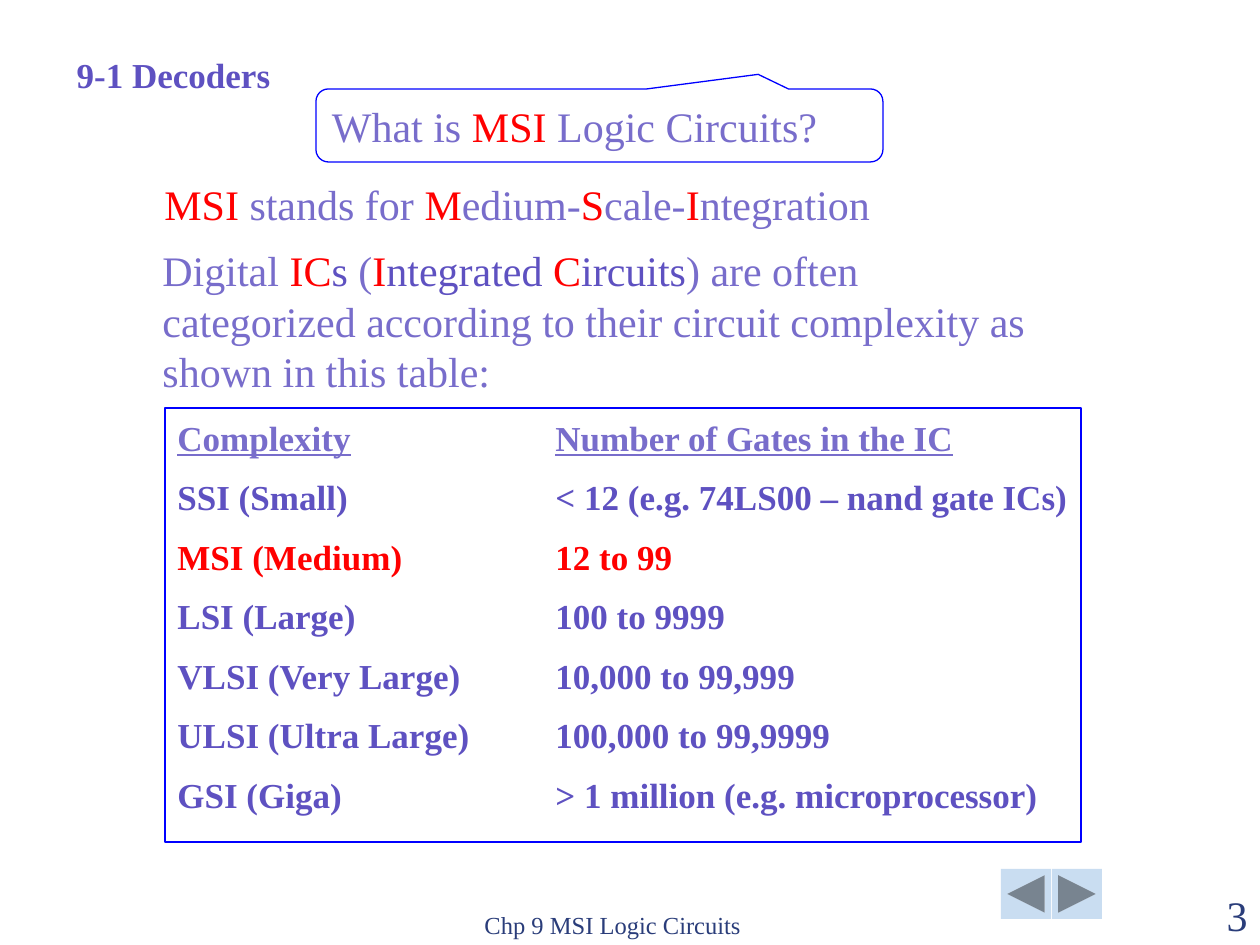
from lxml.etree import SubElement
from pptx import Presentation
from pptx.dml.color import RGBColor
from pptx.enum.shapes import MSO_SHAPE
from pptx.enum.text import MSO_ANCHOR, PP_ALIGN
from pptx.oxml.ns import qn
from pptx.util import Pt

SCALE = 914400 / 126
FONT = "Times New Roman"
RED, LILAC, VIOLET, NAVY = "FF0000", "786DCB", "5E51C1", "2A3D7A"
BLUE, PALE = "0000FF", "C9DDF1"

ROWS = [
    ("SSI (Small)", "< 12 (e.g. 74LS00 – nand gate ICs)"),
    ("MSI (Medium)", "12 to 99"),
    ("LSI (Large)", "100 to 9999"),
    ("VLSI (Very Large)", "10,000 to 99,999"),
    ("ULSI (Ultra Large)", "100,000 to 99,9999"),
    ("GSI (Giga)", "> 1 million (e.g. microprocessor)"),
]


def px(num):
    """Turn pixels into EMU."""
    return round(num * SCALE)


def color(code):
    """Turn a hex string into a colour."""
    return RGBColor.from_string(code)


def place(shape, box):
    """Move a shape to left, top, width, height in pixels."""
    shape.left, shape.top, shape.width, shape.height = map(px, box)


def write(shape, lines, size=24, bold=False, align=PP_ALIGN.LEFT,
          anchor=MSO_ANCHOR.TOP, wrap=True, top=8, gap=0, tab=None):
    """Fill a shape with lines of (text, colour, underline) runs."""
    frame = shape.text_frame
    frame.word_wrap = wrap
    frame.vertical_anchor = anchor
    frame.margin_top = px(top)
    for i, line in enumerate(lines):
        para = frame.paragraphs[0] if i == 0 else frame.add_paragraph()
        para.alignment = align
        para.line_spacing = Pt(size * 1.2)
        para.space_before = Pt(gap if i else 0)
        if tab:
            stops = SubElement(para._p.get_or_add_pPr(), qn("a:tabLst"))
            SubElement(stops, qn("a:tab"), pos=str(px(tab)), algn="l")
        for text, code, *under in line:
            run = para.add_run()
            run.text = text
            font = run.font
            font.name, font.size, font.bold = FONT, Pt(size), bold
            font.underline = bool(under)
            font.color.rgb = color(code)


def label(slide, box, runs, **form):
    """Add a text box with one paragraph."""
    shape = slide.shapes.add_textbox(*map(px, box))
    write(shape, [runs], **form)


def frame(slide, kind, box):
    """Add an unfilled shape with a thin blue outline."""
    shape = slide.shapes.add_shape(kind, *map(px, box))
    shape.shadow.inherit = False
    shape.fill.background()
    shape.line.color.rgb = color(BLUE)
    shape.line.width = Pt(0.75)
    return shape


def button(slide, kind, left):
    """Add a pale navigation button."""
    shape = slide.shapes.add_shape(kind, *map(px, (left, 869, 50, 50)))
    shape.shadow.inherit = False
    shape.fill.solid()
    shape.fill.fore_color.rgb = color(PALE)
    shape.line.fill.background()


def gates(slide):
    """Add the framed list of gate counts."""
    shape = frame(slide, MSO_SHAPE.RECTANGLE, (165, 408, 916, 434))
    head = [("Complexity", LILAC, True), ("\t", LILAC),
            ("Number of Gates in the IC", LILAC, True)]
    body = [[(f"{name}\t{count}", RED if name.startswith("MSI") else VIOLET)]
            for name, count in ROWS]
    write(shape, [head, *body], size=20, bold=True, wrap=False,
          gap=10, tab=378)


def callout(slide):
    """Add the question in a speech bubble."""
    shape = frame(slide, MSO_SHAPE.ROUNDED_RECTANGULAR_CALLOUT,
                  (316, 89, 567, 73))
    for i, value in enumerate((0.28, -0.7, 0.17)):
        shape.adjustments[i] = value
    write(shape, [[("What is ", LILAC), ("MSI", RED),
                   (" Logic Circuits?", LILAC)]])


def main():
    """Build and save the slide."""
    deck = Presentation()
    deck.slide_width, deck.slide_height = px(1260), px(945)
    slide = deck.slides.add_slide(deck.slide_layouts[5])

    button(slide, MSO_SHAPE.ACTION_BUTTON_BACK_OR_PREVIOUS, 1001)
    button(slide, MSO_SHAPE.ACTION_BUTTON_FORWARD_OR_NEXT, 1052)
    label(slide, (472, 883, 400, 63), [("Chp 9 MSI Logic Circuits", NAVY)],
          size=14, anchor=MSO_ANCHOR.BOTTOM)
    label(slide, (1134, 883, 126, 63), [("3", NAVY)],
          align=PP_ALIGN.RIGHT, anchor=MSO_ANCHOR.BOTTOM)

    title = slide.shapes.title
    place(title, (64, 45, 219, 54))
    write(title, [[("9-1 Decoders", VIOLET)]], size=20, bold=True)

    label(slide, (152, 171, 820, 63), [
        ("MSI", RED), (" stands for ", LILAC), ("M", RED),
        ("edium-", LILAC), ("S", RED), ("cale-", LILAC),
        ("I", RED), ("ntegration", LILAC)])
    label(slide, (150, 237, 914, 164), [
        ("Digital ", LILAC), ("IC", RED), ("s", VIOLET), (" (", LILAC),
        ("I", RED), ("ntegrated ", VIOLET), ("C", RED),
        ("ircuits", VIOLET),
        (") are often categorized according to their circuit complexity "
         "as shown in this table:", LILAC)])
    gates(slide)
    callout(slide)
    deck.save("out.pptx")


if __name__ == "__main__":
    main()
